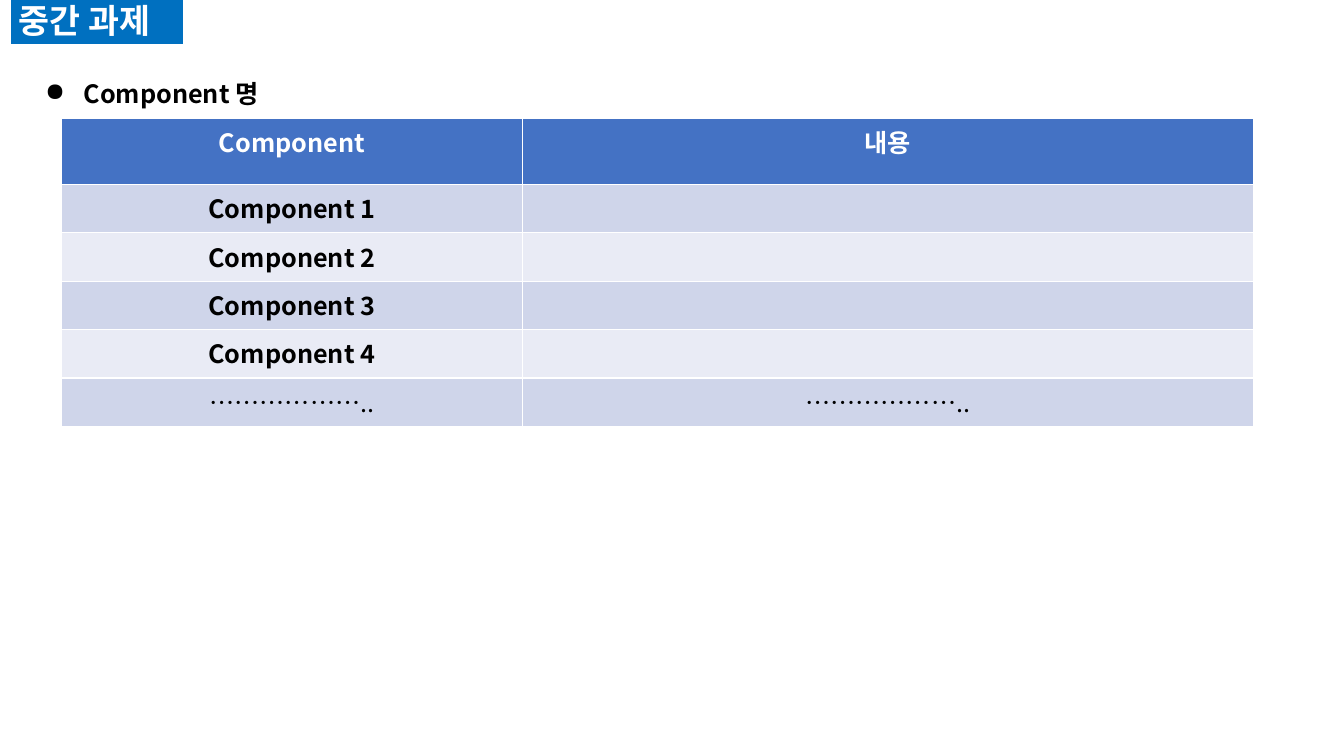
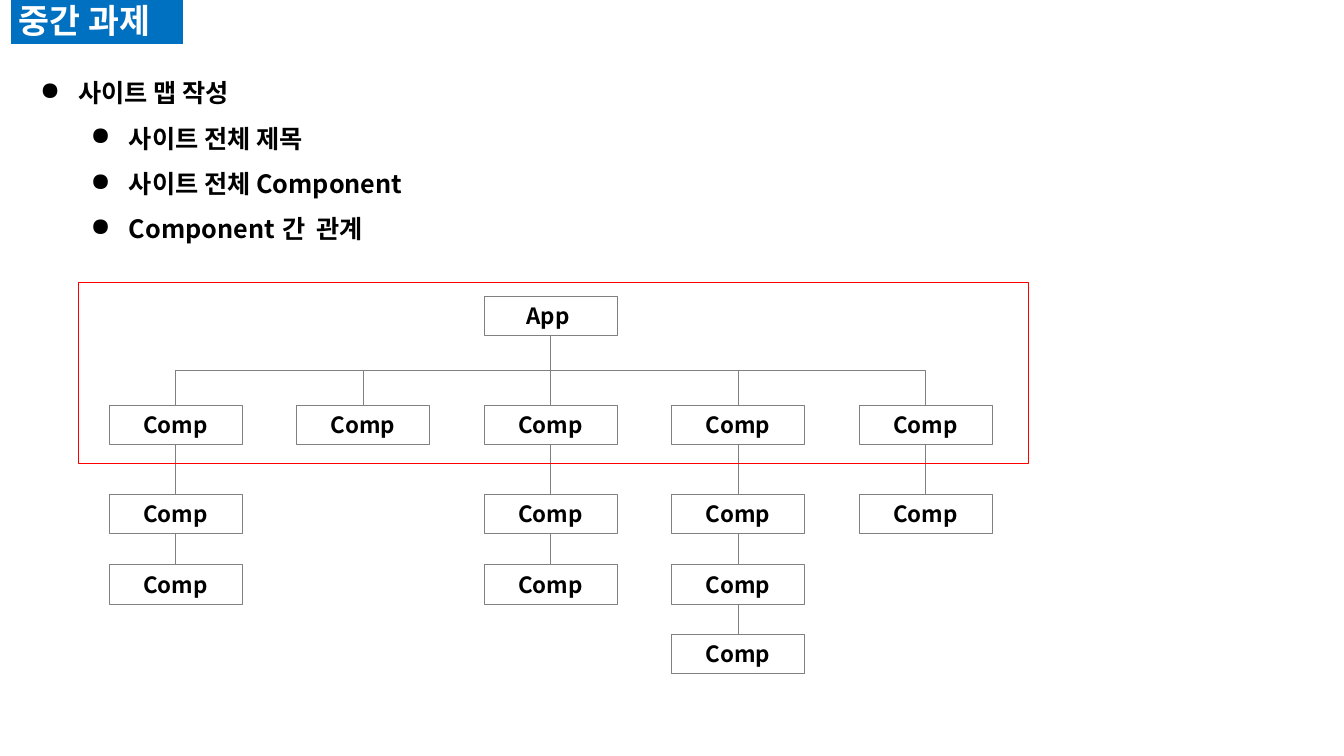
from dataclasses import dataclass

from lxml import etree
from pptx import Presentation
from pptx import util as u
from pptx.dml import color
from pptx.enum import shapes, text
from pptx.oxml import ns

NOTO = "Noto Sans CJK KR"
ARIAL = "Arial"
BLACK, WHITE, GRAY = "000000", "FFFFFF", "808080"
BLUE, RED = "0070C0", "FF0000"
HEAD, BANDS = "4472C4", ("CFD5EA", "E9EBF5")


@dataclass(frozen=True)
class Type:
    size: float
    face: str = NOTO
    tint: str = BLACK
    bold: bool = True


@dataclass(frozen=True)
class Box:
    left: float
    top: float
    width: float
    height: float

    def lengths(self) -> list:
        return [u.Inches(n) for n in (self.left, self.top, self.width, self.height)]


@dataclass(frozen=True)
class Item:
    runs: tuple
    face: str = ARIAL
    level: int = 0


TITLE = Type(24, ARIAL, WHITE)
NODE = Type(16)
DOTS = "……………….."
ROWS = (
    ("Component", "내용"),
    *((f"Component {n}", "") for n in range(1, 5)),
    (DOTS, DOTS),
)
ITEMS = (
    Item((("사이트 맵 작성", ARIAL),)),
    Item((("사이트 전체 제목", ARIAL),), level=1),
    Item((("사이트 전체 ", ARIAL), ("Component", NOTO)), level=1),
    Item((("Component", NOTO), (" 간  관계", ARIAL)), level=1),
)
WIDE, HIGH = 1.32, 0.39
FIRST, PITCH = 1.08, 1.86
LEVELS = (4.02, 4.9, 5.6, 6.29)
DEPTHS = (3, 1, 3, 4, 2)
ROOT = 2


def rgb(code: str) -> color.RGBColor:
    return color.RGBColor.from_string(code)


def style(para, kind: Type) -> None:
    font = para.font
    font.size, font.bold, font.name = u.Pt(kind.size), kind.bold, kind.face
    font.color.rgb = rgb(kind.tint)
    props = para._p.pPr.find(ns.qn("a:defRPr"))
    etree.SubElement(props, ns.qn("a:ea"), typeface=NOTO)


def panel(slide, box: Box, fill: str | None, edge: str, weight: float):
    shape = slide.shapes.add_shape(shapes.MSO_SHAPE.RECTANGLE, *box.lengths())
    shape.shadow.inherit = False
    if fill:
        shape.fill.solid()
        shape.fill.fore_color.rgb = rgb(fill)
    else:
        shape.fill.background()
    shape.line.color.rgb = rgb(edge)
    shape.line.width = u.Pt(weight)
    return shape


def title(slide) -> None:
    shape = panel(slide, Box(0.09, -0.05, 1.74, 0.5), BLUE, WHITE, 2.25)
    frame = shape.text_frame
    frame.auto_size = text.MSO_AUTO_SIZE.SHAPE_TO_FIT_TEXT
    frame.vertical_anchor = text.MSO_ANCHOR.TOP
    para = frame.paragraphs[0]
    para.text = "중간 과제"
    para.alignment = text.PP_ALIGN.LEFT
    style(para, TITLE)


def bullets(slide, box: Box, items: tuple) -> None:
    frame = slide.shapes.add_textbox(*box.lengths()).text_frame
    frame.word_wrap = True
    frame.auto_size = text.MSO_AUTO_SIZE.SHAPE_TO_FIT_TEXT
    for n, item in enumerate(items):
        para = frame.add_paragraph() if n else frame.paragraphs[0]
        para.level = item.level
        para.line_spacing = 1.5
        props = para._p.get_or_add_pPr()
        props.set("marL", str(u.Inches(0.38 + 0.5 * item.level)))
        props.set("indent", str(u.Inches(-0.38)))
        etree.SubElement(props, ns.qn("a:buChar"), char="●")
        style(para, Type(18, item.face))
        for words, face in item.runs:
            run = para.add_run()
            run.text = words
            if face != item.face:
                run.font.name = face


def grid(slide, box: Box, rows: tuple) -> None:
    table = slide.shapes.add_table(len(rows), 2, *box.lengths()).table
    for col, width in zip(table.columns, (4.57, 7.25)):
        col.width = u.Inches(width)
    for r, row in enumerate(rows):
        table.rows[r].height = u.Inches(0.48 if r else 0.66)
        for c, words in enumerate(row):
            cell = table.cell(r, c)
            cell.fill.solid()
            cell.fill.fore_color.rgb = rgb(BANDS[(r - 1) % 2] if r else HEAD)
            para = cell.text_frame.paragraphs[0]
            para.text = words
            para.alignment = text.PP_ALIGN.CENTER
            tint = BLACK if r else WHITE
            style(para, Type(18, tint=tint, bold=words != DOTS))


def node(slide, left: float, top: float, words: str):
    shape = panel(slide, Box(left, top, WIDE, HIGH), WHITE, GRAY, 0.25)
    frame = shape.text_frame
    frame.vertical_anchor = text.MSO_ANCHOR.MIDDLE
    para = frame.paragraphs[0]
    para.text = words
    para.alignment = text.PP_ALIGN.CENTER
    style(para, NODE)
    return shape


def link(slide, upper, lower) -> None:
    kinds = shapes.MSO_CONNECTOR
    shift = lower.left - upper.left
    kind = kinds.ELBOW if shift else kinds.STRAIGHT
    line = slide.shapes.add_connector(kind, 0, 0, 0, 0)
    line.begin_connect(upper, 2)
    line.end_connect(lower, 0)
    line.line.color.rgb = rgb(GRAY)
    line.line.width = u.Pt(0.5)
    props = line._element.spPr
    etree.SubElement(props, ns.qn("a:effectLst"))
    if shift:
        start = upper.top + upper.height
        drop, span = lower.top - start, abs(shift)
        mid = upper.left + (upper.width + shift) // 2
        line.left, line.top = mid - drop // 2, start + (drop - span) // 2
        line.width, line.height = drop, span
        frame = props.find(ns.qn("a:xfrm"))
        frame.set("rot", str((270 if shift > 0 else 90) * 60000))
        frame.set("flipH", "1" if shift > 0 else "0")
        frame.set("flipV", "0")


def tree(slide) -> None:
    lefts = [FIRST + PITCH * n for n in range(len(DEPTHS))]
    root = node(slide, lefts[ROOT], 2.94, "App ")
    for left, depth in zip(lefts, DEPTHS):
        upper = root
        for top in LEVELS[:depth]:
            lower = node(slide, left, top, "Comp")
            link(slide, upper, lower)
            upper = lower
    panel(slide, Box(0.78, 2.8, 9.42, 1.8), None, RED, 1)


def main() -> None:
    deck = Presentation()
    deck.slide_width, deck.slide_height = u.Inches(13.33), u.Inches(7.5)
    blank = deck.slide_layouts[6]

    parts = deck.slides.add_slide(blank)
    bullets(parts, Box(0.35, 0.58, 4.22, 0.5), (Item((("Component 명", NOTO),), NOTO),))
    grid(parts, Box(0.61, 1.17, 11.82, 3.05), ROWS)
    title(parts)

    site = deck.slides.add_slide(blank)
    bullets(site, Box(0.3, 0.57, 4.1, 1.86), ITEMS)
    tree(site)
    title(site)

    deck.save("out.pptx")


if __name__ == "__main__":
    main()
